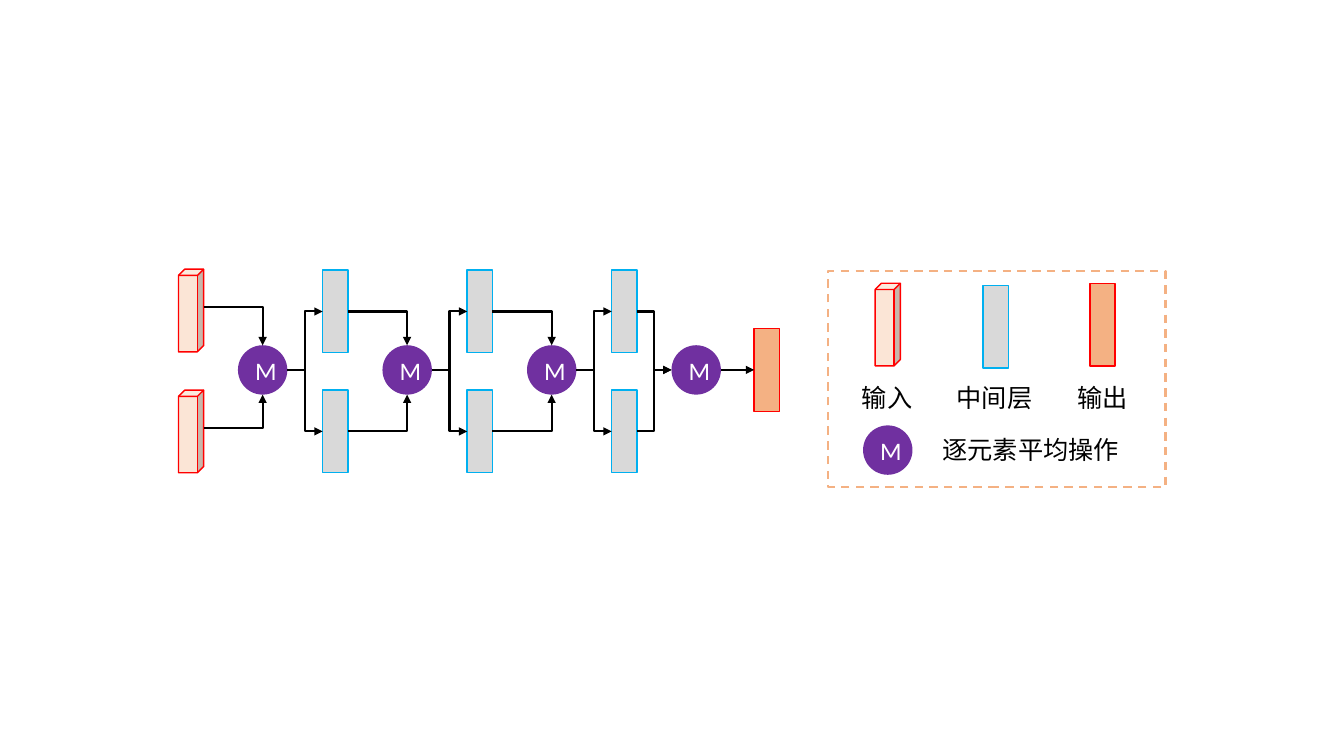
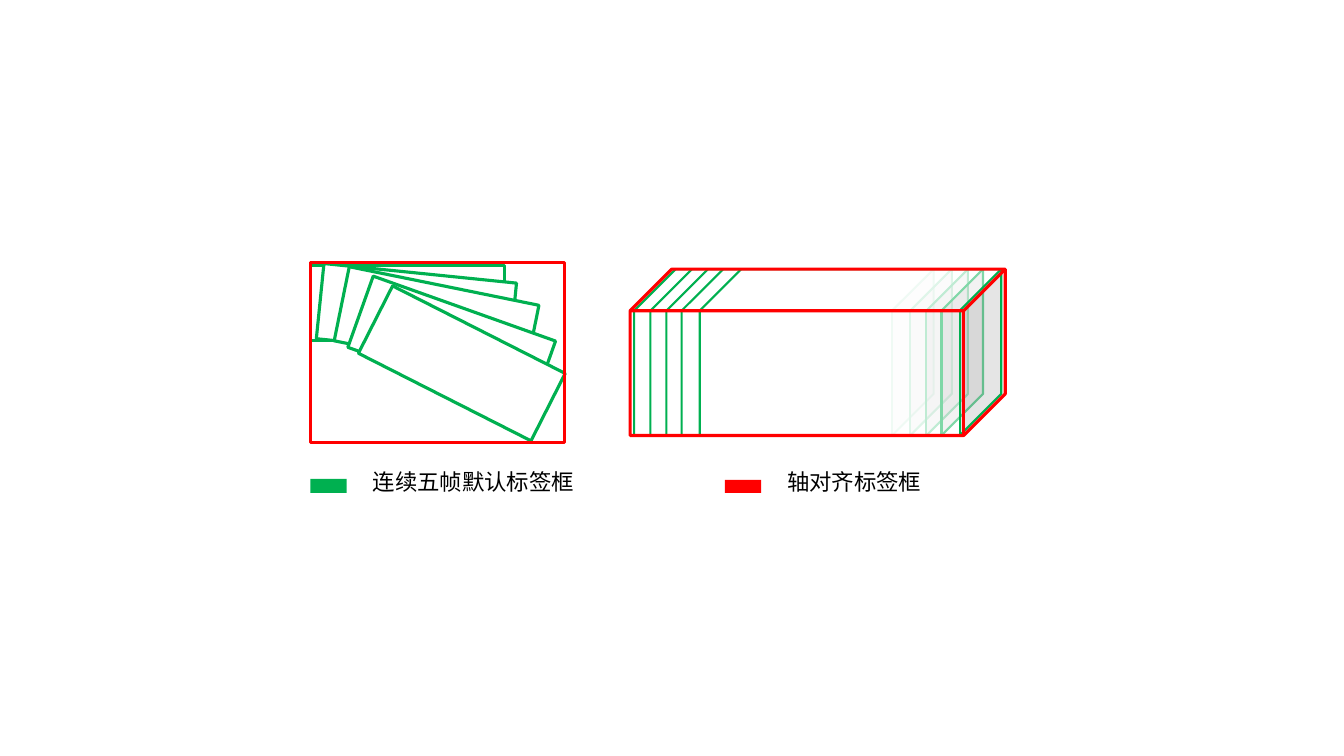
from lxml import etree
from pptx import Presentation
from pptx.dml.color import RGBColor
from pptx.enum.dml import MSO_LINE
from pptx.enum.shapes import MSO_CONNECTOR, MSO_SHAPE
from pptx.enum.text import MSO_ANCHOR, PP_ALIGN
from pptx.oxml.ns import qn
from pptx.util import Inches, Pt

RECT, CUBE, OVAL = MSO_SHAPE.RECTANGLE, MSO_SHAPE.CUBE, MSO_SHAPE.OVAL
ELBOW, STRAIGHT = MSO_CONNECTOR.ELBOW, MSO_CONNECTOR.STRAIGHT
DASH = MSO_LINE.DASH
CENTER, MIDDLE = PP_ALIGN.CENTER, MSO_ANCHOR.MIDDLE

COLORS = {
    "black": "000000", "white": "FFFFFF", "red": "FF0000", "green": "00B050",
    "blue": "00B0F0", "purple": "7030A0", "gray": "D9D9D9",
    "peach": "FBE5D6", "orange": "F4B183",
}

# Network geometry
BAR_W, BAR_H, NODE = 0.25, 0.82, 0.49
NODE_X, LAYER_X, OUTPUT_X = 2.36, 3.2, 7.48
STEP = (6.66 - NODE_X) / 3
MID_Y = 3.67
LAYER_TOPS = (2.68, 3.87)
INPUT_X, INPUT_TOPS = 1.77, (2.67, 3.87)


def rgb(name):
    return RGBColor.from_string(COLORS[name])


def add_box(s, kind, x, y, w, h, fill=None, line=None, width=1.0,
            rotation=0, opacity=None, dash=None):
    sp = s.shapes.add_shape(kind, Inches(x), Inches(y), Inches(w), Inches(h))
    sp.shadow.inherit = False
    sp.rotation = rotation
    if fill:
        sp.fill.solid()
        sp.fill.fore_color.rgb = rgb(fill)
        if opacity is not None:
            color = sp.fill._xPr.find(".//" + qn("a:srgbClr"))
            etree.SubElement(color, qn("a:alpha"), val=str(opacity * 1000))
    else:
        sp.fill.background()
    if line:
        sp.line.color.rgb = rgb(line)
        sp.line.width = Pt(width)
        if dash:
            sp.line.dash_style = dash
    else:
        sp.line.fill.background()
    return sp


def format_text(p, size, font, color):
    for r in p.runs:
        r.font.size = Pt(size)
        r.font.name = font
        r.font.color.rgb = rgb(color)


def add_label(s, text, x, y, w, h, size, font):
    tf = s.shapes.add_textbox(Inches(x), Inches(y), Inches(w), Inches(h)).text_frame
    tf.word_wrap = False
    tf.text = text
    format_text(tf.paragraphs[0], size, font, "black")


def add_input(s, x, y):
    add_box(s, CUBE, x, y, BAR_W, BAR_H, "peach", "red")


def add_layer(s, x, y):
    add_box(s, RECT, x, y, BAR_W, BAR_H, "gray", "blue")


def add_output(s, x, y):
    add_box(s, RECT, x, y, BAR_W, BAR_H, "orange", "red")


def add_mean_node(s, x, y):
    tf = add_box(s, OVAL, x, y, NODE, NODE, "purple").text_frame
    tf.text = "M"
    tf.vertical_anchor = MIDDLE
    tf.paragraphs[0].alignment = CENTER
    format_text(tf.paragraphs[0], 18, "Calibri", "white")


def add_arrow(s, x1, y1, x2, y2, kind=ELBOW, single_bend=False):
    c = s.shapes.add_connector(kind, Inches(x1), Inches(y1), Inches(x2), Inches(y2))
    c.line.color.rgb = rgb("black")
    c.line.width = Pt(1.5)
    etree.SubElement(c.line._get_or_add_ln(), qn("a:tailEnd"), type="triangle")
    sp_pr = c._element.spPr
    etree.SubElement(sp_pr, qn("a:effectLst"))
    if single_bend:
        sp_pr.find(qn("a:prstGeom")).set("prst", "bentConnector2")


def add_network(s):
    # Inputs, averaging nodes, layers and output
    for top in INPUT_TOPS:
        add_input(s, INPUT_X, top)
    for i in range(4):
        add_mean_node(s, NODE_X + i * STEP, MID_Y - NODE / 2)
    for i in range(3):
        for top in LAYER_TOPS:
            add_layer(s, LAYER_X + i * STEP, top)
    add_output(s, OUTPUT_X, MID_Y - BAR_H / 2)

    # Inputs into the first node
    node_edges = (MID_Y - NODE / 2, MID_Y + NODE / 2)
    for top, edge in zip(INPUT_TOPS, node_edges):
        add_arrow(s, INPUT_X + BAR_W, top + 0.38, NODE_X + NODE / 2, edge,
                  single_bend=True)

    # Each node into its layer pair, each pair into the next node
    for i in range(3):
        node_x, layer_x = NODE_X + i * STEP, LAYER_X + i * STEP
        next_x = node_x + STEP
        for top, edge in zip(LAYER_TOPS, node_edges):
            y = top + BAR_H / 2
            add_arrow(s, node_x + NODE, MID_Y, layer_x, y)
            if i < 2:
                add_arrow(s, layer_x + BAR_W, y, next_x + NODE / 2, edge,
                          single_bend=True)
            else:
                add_arrow(s, layer_x + BAR_W, y, next_x, MID_Y)
    add_arrow(s, NODE_X + 3 * STEP + NODE, MID_Y, OUTPUT_X, MID_Y, STRAIGHT)


def add_network_legend(s):
    add_input(s, 8.68, 2.81)
    add_layer(s, 9.75, 2.83)
    add_output(s, 10.81, 2.81)
    add_mean_node(s, 8.56, 4.22)
    for text, x, y, w in (("输入", 8.45, 3.74, 0.71), ("中间层", 9.39, 3.74, 0.96),
                          ("输出", 10.59, 3.74, 0.71),
                          ("逐元素平均操作", 9.25, 4.26, 1.97)):
        add_label(s, text, x, y, w, 0.4, 18, "Calibri")
    add_box(s, RECT, 8.21, 2.69, 3.35, 2.14, None, "orange", 1.5, dash=DASH)


def add_rotated_frames(s):
    for x, y, angle in ((3.08, 2.63, 0), (3.17, 2.71, 5.8), (3.37, 2.83, 11.5),
                        (3.52, 3.04, 19.6), (3.62, 3.23, 26.9)):
        add_box(s, RECT, x, y, 1.92, 0.75, "white", "green", 2.25, angle)
    add_box(s, RECT, 3.08, 2.6, 2.52, 1.79, None, "red", 2.25)


def add_aligned_frames(s):
    top, height = 2.67, 1.65
    for x, w in ((6.29, 2.97), (6.45, 2.99), (6.61, 2.99), (6.76, 2.99), (6.94, 2.99)):
        add_box(s, CUBE, x, top, w, height, "white", "green", 1.5, opacity=50)
    add_box(s, CUBE, 6.25, top, 3.72, height, None, "red", 2.25)


def add_frame_legend(s):
    for text, color, x, y, h, w in (("连续五帧默认标签框", "green", 3.08, 4.75, 0.14, 2.22),
                                    ("轴对齐标签框", "red", 7.19, 4.76, 0.13, 1.55)):
        add_box(s, RECT, x, y, 0.36, h, color)
        add_label(s, text, x + 0.52, 4.6, w, 0.37, 16, "Times New Roman")


def main():
    prs = Presentation()
    prs.slide_width, prs.slide_height = Inches(13.33), Inches(7.5)
    blank = prs.slide_layouts[6]

    # Slide 1: averaging network
    s = prs.slides.add_slide(blank)
    add_network(s)
    add_network_legend(s)

    # Slide 2: label boxes
    s = prs.slides.add_slide(blank)
    add_rotated_frames(s)
    add_aligned_frames(s)
    add_frame_legend(s)

    prs.save("out.pptx")


if __name__ == "__main__":
    main()
